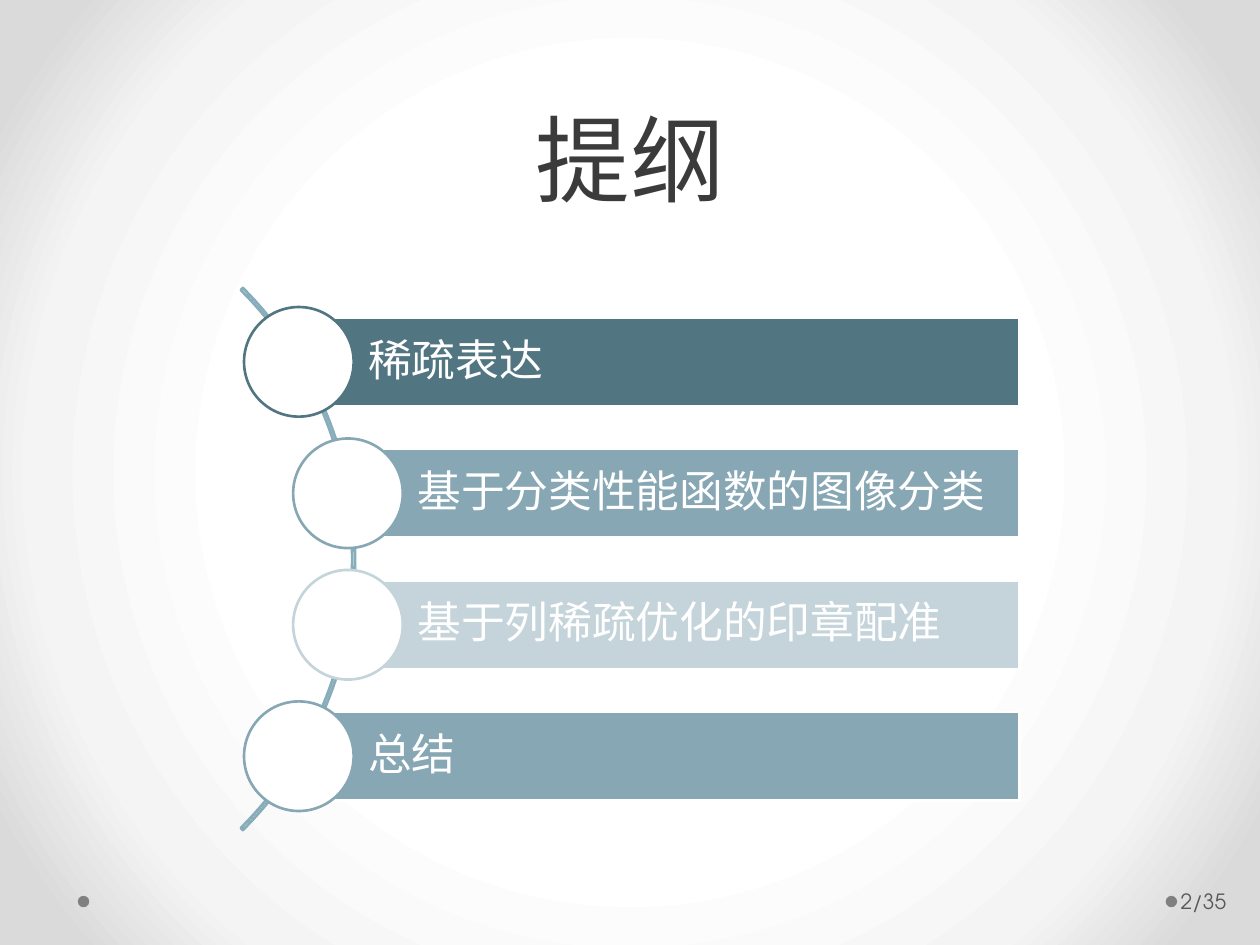
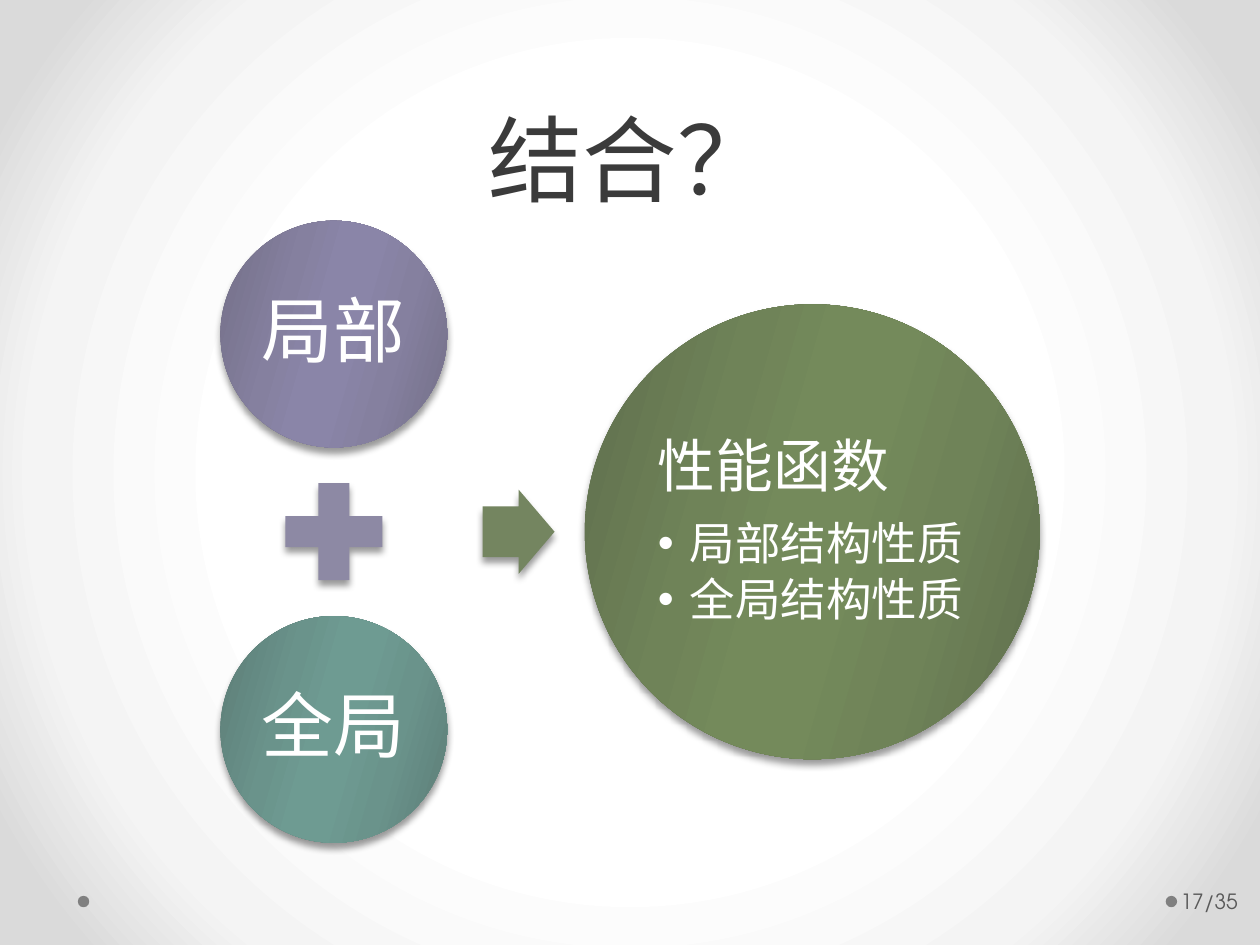
"""Build two slides: an outline along an arc, and a sum of two circles."""
import math
import pptx
import pptx.util
import pptx.dml.color
import pptx.enum.shapes
import pptx.enum.text
import pptx.oxml
import pptx.oxml.ns
from dataclasses import dataclass

Cm, Pt = pptx.util.Cm, pptx.util.Pt
Kind = pptx.enum.shapes.MSO_SHAPE
Anchor = pptx.enum.text.MSO_ANCHOR
Align = pptx.enum.text.PP_ALIGN
qn = pptx.oxml.ns.qn

PLAN = {
    "title": "提纲",
    "page": "2/35",
    "rows": [
        ("稀疏表达", "517682"),
        ("基于分类性能函数的图像分类", "86A7B3"),
        ("基于列稀疏优化的印章配准", "C4D4DA"),
        ("总结", "86A7B3"),
    ],
}
MERGE = {
    "title": "结合？",
    "page": "17/35",
    "terms": [
        ("局部", ("736F87", "85809F", "8A85A8")),
        ("全局", ("5C7C76", "6A938B", "6E9B92")),
    ],
    "whole": ("5F6E4D", "6F8358", "748A5B"),
    "head": "性能函数",
    "items": ["局部结构性质", "全局结构性质"],
}


@dataclass(frozen=True)
class Theme:
    font: str = "Times New Roman"
    sans: str = "TeX Gyre Adventor"
    ink: str = "3B3B3B"
    grey: str = "595959"
    dot: str = "808080"
    white: str = "FFFFFF"
    arc: str = "87ADBA"
    plus: str = "8D89A4"
    arrow: str = "748560"
    back: tuple = ((50, "FFFFFF"), (76, "F4F4F4"), (92, "DADADA"))
    title: int = 54
    row: int = 25
    term: int = 41
    head: int = 33
    item: int = 26
    page: int = 12


LOOK = Theme()


def rgb(code):
    return pptx.dml.color.RGBColor.from_string(code)


def xml(text):
    return pptx.oxml.parse_xml(f'<a:wrap {pptx.oxml.ns.nsdecls("a")}>{text}</a:wrap>')[0]


def blend(fill, node, stops, way):
    fill.gradient()
    old = node.find(".//" + qn("a:gradFill"))
    marks = "".join(
        f'<a:gs pos="{at * 1000}"><a:srgbClr val="{code}"/></a:gs>' for at, code in stops
    )
    new = xml(f'<a:gradFill rotWithShape="1"><a:gsLst>{marks}</a:gsLst>{way}</a:gradFill>')
    old.getparent().replace(old, new)


def place(item, left, top, wide, high):
    item.left, item.top, item.width, item.height = map(Cm, (left, top, wide, high))


def draw(slide, kind, left, top, wide, high, fill=None, line=None):
    shape = slide.shapes.add_shape(kind, *map(Cm, (left, top, wide, high)))
    shape.shadow.inherit = False
    if fill:
        shape.fill.solid()
        shape.fill.fore_color.rgb = rgb(fill)
    else:
        shape.fill.background()
    if line:
        shape.line.color.rgb = rgb(line)
        shape.line.width = Pt(1.5)
    else:
        shape.line.fill.background()
    return shape


def inset(frame, left, rest):
    frame.margin_left = Cm(left)
    frame.margin_top = frame.margin_right = frame.margin_bottom = Cm(rest)


def style(para, size, code, align=Align.LEFT, space=0.9, font=LOOK.font):
    para.alignment = align
    para.line_spacing = space
    para.space_before = Pt(0)
    for run in para.runs:
        run.font.name = font
        run.font.size = Pt(size)
        run.font.color.rgb = rgb(code)


def label(shape, text, left, rest, *looks, **more):
    frame = shape.text_frame
    frame.text = text
    frame.vertical_anchor = Anchor.MIDDLE
    inset(frame, left, rest)
    style(frame.paragraphs[0], *looks, **more)
    return frame


def shade(shape):
    shape._element.spPr.find(qn("a:effectLst")).append(xml(
        f'<a:outerShdw blurRad="{Pt(4)}" dist="{Pt(3.3)}" dir="5400000" rotWithShape="0">'
        '<a:srgbClr val="000000"><a:alpha val="40000"/></a:srgbClr></a:outerShdw>'))


def ball(slide, left, top, size, tones):
    shape = draw(slide, Kind.OVAL, left, top, size, size)
    edge, mid, core = tones
    stops = zip((0, 30, 45, 55, 73, 100), (edge, mid, core, core, mid, edge))
    blend(shape.fill, shape._element, stops, '<a:lin ang="960000" scaled="0"/>')
    shade(shape)
    return shape


def start(deck, layout, data):
    slide = deck.slides.add_slide(deck.slide_layouts[layout])
    for left in (23.5, 1.57):
        draw(slide, Kind.OVAL, left, 18.06, 0.23, 0.23, LOOK.dot)
    title = slide.shapes.title
    place(title, 1.27, 0, 22.86, 4.45)
    frame = title.text_frame
    frame.text = data["title"]
    frame.auto_size = pptx.enum.text.MSO_AUTO_SIZE.NONE
    frame.vertical_anchor = Anchor.BOTTOM
    style(frame.paragraphs[0], LOOK.title, LOOK.ink, Align.CENTER, Pt(58))
    box = slide.shapes.add_textbox(*map(Cm, (23.72, 17.65, 1.55, 1.02)))
    label(box, data["page"], 0.08, 0.13, LOOK.page, LOOK.grey,
          space=1.0, font=LOOK.sans).word_wrap = True
    return slide


def plan(deck):
    slide = start(deck, 5, PLAN)
    mid_x, mid_y, reach, outer = -0.57, 11.27, 7.7, 7.73
    step, high, size, right = 2.65, 1.78, 2.21, 20.55
    arc = draw(slide, Kind.BLOCK_ARC, mid_x - outer, mid_y - outer,
               2 * outer, 2 * outer, line=LOOK.arc)
    for n, value in enumerate((189, 27, 0.004)):
        arc.adjustments[n] = value
    for n, (text, code) in enumerate(PLAN["rows"]):
        rise = (n - (len(PLAN["rows"]) - 1) / 2) * step
        x, y = mid_x + math.sqrt(reach ** 2 - rise ** 2), mid_y + rise
        bar = draw(slide, Kind.RECTANGLE, x, y - high / 2, right - x, high, code, LOOK.white)
        label(bar, text, 1.4, 0.18, LOOK.row, LOOK.white)
        draw(slide, Kind.OVAL, x - size / 2, y - size / 2, size, size, LOOK.white, code)


def merge(deck):
    slide = start(deck, 1, MERGE)
    mid_x, mid_y, size, cross, gap, big = 6.73, 10.72, 4.57, 2.66, 0.37, 9.17
    away = (cross + size) / 2 + gap
    for side, (text, tones) in zip((-1, 1), MERGE["terms"]):
        disc = ball(slide, mid_x - size / 2, mid_y + side * away - size / 2, size, tones)
        label(disc, text, 0.15, 0.15, LOOK.term, LOOK.white, Align.CENTER).word_wrap = False
    shade(draw(slide, Kind.MATH_PLUS, mid_x - cross / 2, mid_y - cross / 2,
               cross, cross, LOOK.plus))
    arrow = draw(slide, Kind.RIGHT_ARROW, 9.73, mid_y - 0.85, 1.45, 1.7, LOOK.arrow)
    arrow.adjustments[0], arrow.adjustments[1] = 0.6, 0.5
    shade(arrow)
    disc = ball(slide, 11.79, mid_y - big / 2, big, MERGE["whole"])

    body = slide.placeholders[1]
    place(body, 13.13, mid_y - 3.24, 6.48, 6.48)
    disc._element.addnext(body._element)
    frame = body.text_frame
    frame.text = "\n".join([MERGE["head"], *MERGE["items"]])
    frame.auto_size = pptx.enum.text.MSO_AUTO_SIZE.NONE
    frame.vertical_anchor = Anchor.MIDDLE
    inset(frame, 0.13, 0.13)
    for n, para in enumerate(frame.paragraphs):
        if n == 0:
            level, size, after, hang, mark = 0, LOOK.head, 0.35, 0, "<a:buNone/>"
        else:
            level, size, after, hang, mark = 1, LOOK.item, 0.15, Cm(0.64), '<a:buChar char="•"/>'
        para.level = level
        style(para, size, LOOK.white)
        para.space_after = Pt(round(size * after))
        props = para._p.get_or_add_pPr()
        props.set("marL", str(int(hang)))
        props.set("indent", str(-int(hang)))
        props.append(xml(mark))


def main():
    deck = pptx.Presentation()
    deck.slide_width, deck.slide_height = Cm(25.4), Cm(19.05)
    master = deck.slide_master
    blend(master.background.fill, master.element, LOOK.back,
          '<a:path path="circle"><a:fillToRect l="50000" t="50000" r="50000" b="50000"/></a:path>')
    plan(deck)
    merge(deck)
    deck.save("out.pptx")


if __name__ == "__main__":
    main()
